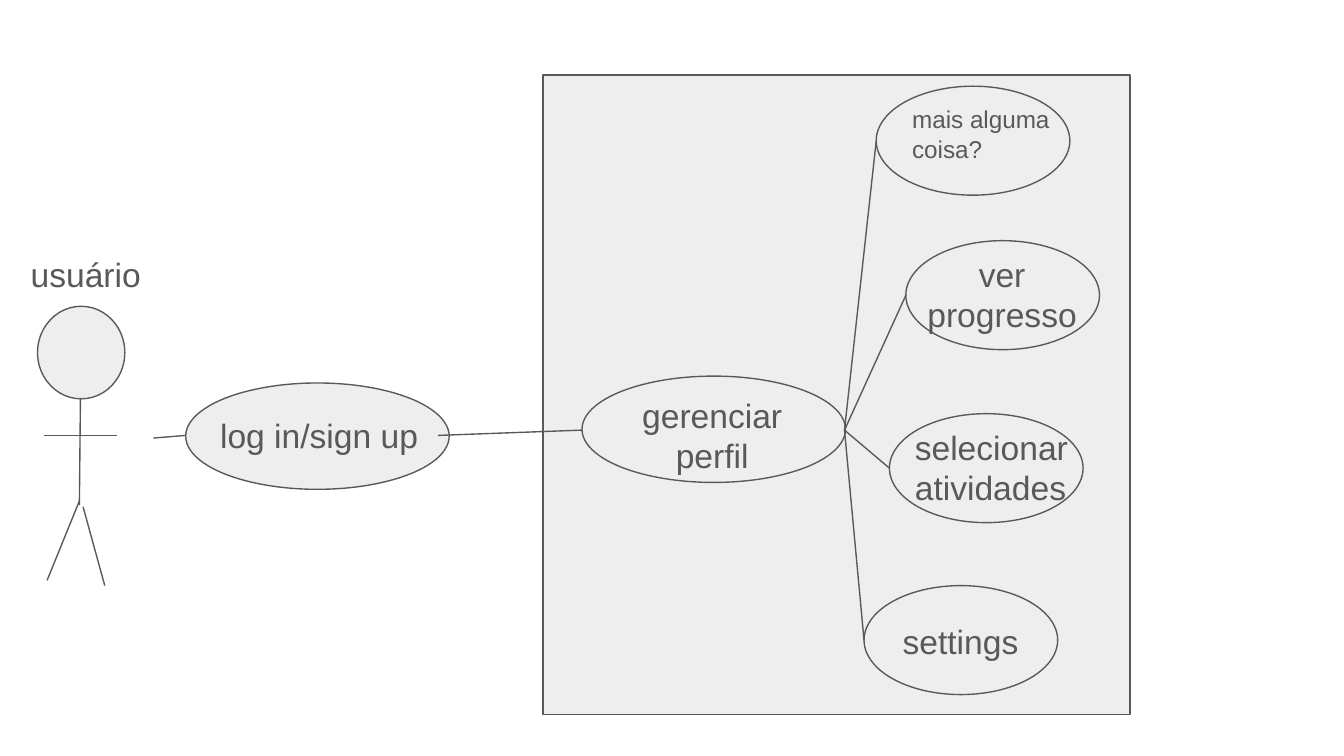
from lxml.etree import SubElement
from pptx import Presentation
from pptx.dml.color import RGBColor
from pptx.enum.shapes import MSO_CONNECTOR as Link, MSO_SHAPE as Form
from pptx.enum.text import MSO_AUTO_SIZE as Fit, PP_ALIGN as Align
from pptx.oxml.ns import qn
from pptx.util import Cm, Pt

GRAY = RGBColor(0x59, 0x59, 0x59)
PALE = RGBColor(0xEE, 0xEE, 0xEE)


class Board:
    """Style and current slide of the use case diagram."""
    font = "Arial"
    size = 18
    stroke = Pt(0.75)
    inset = Cm(0.25)

    def __init__(self, slide):
        self.shapes = slide.shapes

    def shape(self, form, *box):
        item = self.shapes.add_shape(form, *map(Cm, box))
        item.shadow.inherit = False
        item.fill.solid()
        item.fill.fore_color.rgb = PALE
        item.line.color.rgb = GRAY
        item.line.width = self.stroke

    def oval(self, *box):
        self.shape(Form.OVAL, *box)

    def line(self, *ends):
        item = self.shapes.add_connector(Link.STRAIGHT, *map(Cm, ends))
        item.line.color.rgb = GRAY
        item.line.width = self.stroke
        SubElement(item._element.spPr, qn("a:effectLst"))

    def text(self, words, *box, size=size, align=Align.LEFT):
        frame = self.shapes.add_textbox(*map(Cm, box)).text_frame
        frame.word_wrap = True
        frame.auto_size = Fit.SHAPE_TO_FIT_TEXT
        frame.margin_left = frame.margin_right = self.inset
        frame.margin_top = frame.margin_bottom = self.inset
        par = frame.paragraphs[0]
        par.text = words
        par.alignment = align
        par.font.name = self.font
        par.font.size = Pt(size)
        par.font.color.rgb = GRAY


def actor(board):
    board.text("usuário", 0.33, 4.55, 2.9, 1.27)
    board.oval(0.71, 5.79, 1.65, 1.75)
    limbs = [
        (1.52, 7.54, 1.5, 9.55),     # body
        (1.98, 11.07, 1.57, 9.58),   # right leg
        (0.89, 10.97, 1.5, 9.47),    # left leg
        (0.84, 8.23, 2.21, 8.23),    # arms
    ]
    for limb in limbs:
        board.line(*limb)


def login(board):
    board.oval(3.51, 7.24, 4.98, 2.01)
    board.text("log in/sign up", 3.91, 7.59, 4.37, 1.27)
    board.line(3.51, 8.23, 2.9, 8.28)
    board.line(8.28, 8.23, 11, 8.13)


def profile(board):
    board.oval(11, 7.11, 4.98, 2.01)
    board.text("gerenciar perfil", 11.81, 7.21, 3.3, 2.06, align=Align.CENTER)


def cases(board):
    """Draw the four use cases, each linked to the profile oval."""
    wide, high = 3.66, 2.06
    for left, top in [(16.56, 1.63), (17.12, 4.55), (16.81, 7.82), (16.33, 11.07)]:
        board.oval(left, top, wide, high)
        board.line(15.96, 8.13, left, top + high / 2)
    board.text("mais alguma coisa?", 16.99, 1.73, 3.3, 1.63, size=13)
    board.text("ver progresso", 17.2, 4.55, 3.48, high, align=Align.CENTER)
    board.text("selecionar atividades", 17.04, 7.82, wide, high)
    board.text("settings", 16.81, 11.48, 2.75, 1.27)


def main():
    deck = Presentation()
    deck.slide_width, deck.slide_height = Cm(25.4), Cm(14.29)
    board = Board(deck.slides.add_slide(deck.slide_layouts[6]))
    board.shape(Form.RECTANGLE, 10.26, 1.42, 11.1, 12.09)
    actor(board)
    login(board)
    profile(board)
    cases(board)
    deck.save("out.pptx")


if __name__ == "__main__":
    main()
